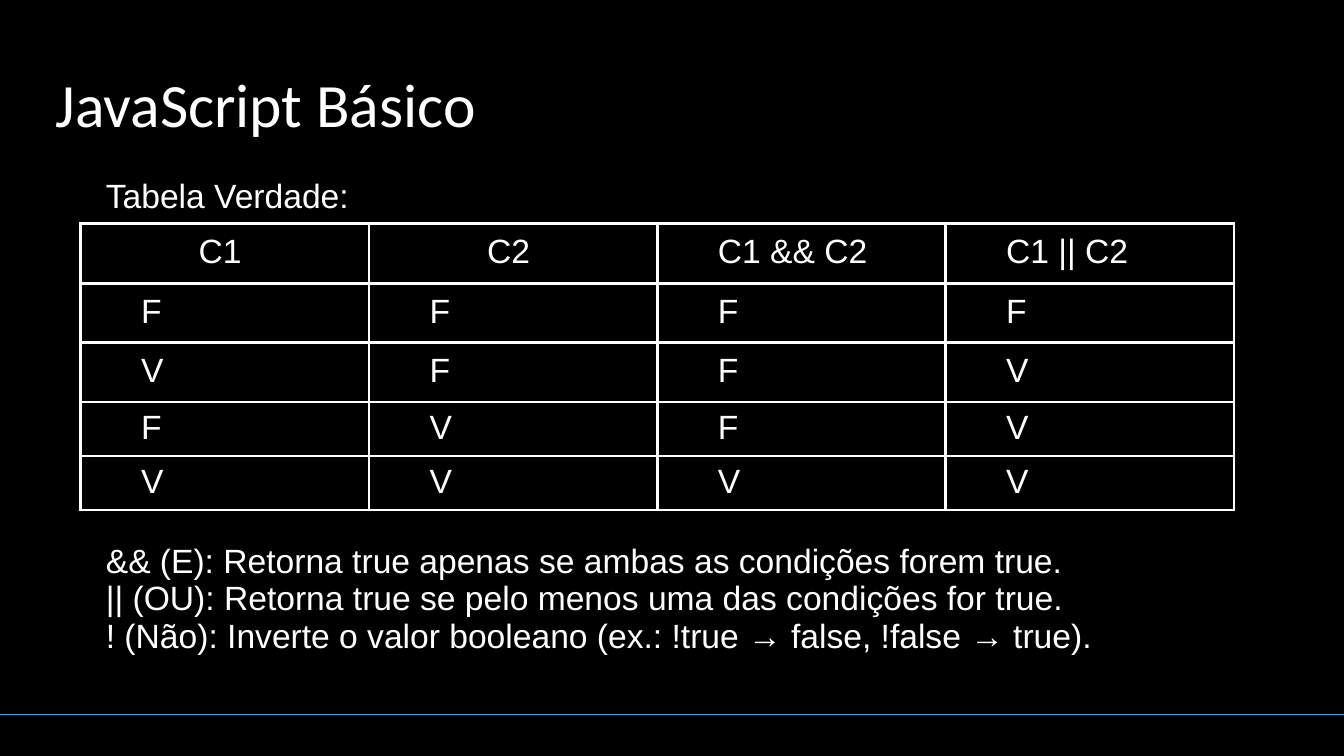
from dataclasses import dataclass

import lxml.etree
import pptx
import pptx.dml.color
import pptx.enum.shapes
import pptx.enum.text
import pptx.oxml.ns
import pptx.util

Inches = pptx.util.Inches
Pt = pptx.util.Pt
Align = pptx.enum.text.PP_ALIGN
Anchor = pptx.enum.text.MSO_ANCHOR
qn = pptx.oxml.ns.qn

BLACK = pptx.dml.color.RGBColor(0x00, 0x00, 0x00)
WHITE = pptx.dml.color.RGBColor(0xFF, 0xFF, 0xFF)
BLUE = pptx.dml.color.RGBColor(0x5B, 0x9B, 0xD5)

SLIDE_WIDTH, SLIDE_HEIGHT = 13.33, 7.5
INSET = Inches(0.1)
INDENT = 0.5
COLUMN_WIDTH = 2.86
ROW_HEIGHTS = [0.59, 0.59, 0.59, 0.46, 0.46]
TRUTH_TABLE = [
    ["C1 ", "C2 ", "C1 && C2", "C1 || C2"],
    ["F", "F", "F", "F"],
    ["V", "F", "F", "V"],
    ["F", "V", "F", "V"],
    ["V", "V", "V", "V"],
]


@dataclass
class BodyLine:
    text: str
    before: float = 1


# The second line leaves room for the table above it.
BODY_LINES = [
    BodyLine("Tabela Verdade:"),
    BodyLine("&& (E): Retorna true apenas se ambas as condições forem true.", 234.5),
    BodyLine("|| (OU): Retorna true se pelo menos uma das condições for true."),
    BodyLine("! (Não): Inverte o valor booleano (ex.: !true → false, !false → true)."),
]


def write_text(para, text: str, *, size: float = 24, font: str = "Arial",
               indent: float = 0, align=Align.LEFT, before: float = 0) -> None:
    para.alignment = align
    para.line_spacing = 0.9
    para.space_before = Pt(before)
    para.space_after = Pt(0)
    properties = para._p.get_or_add_pPr()
    properties.set("marL", str(Inches(indent)))
    properties.set("indent", "0")
    lxml.etree.SubElement(properties, qn("a:buNone"))
    span = para.add_run()
    span.text = text
    span.font.size = Pt(size)
    span.font.name = font
    span.font.bold = False
    span.font.color.rgb = WHITE


def place_placeholder(box, top: float, height: float, anchor) -> None:
    box.left, box.top = Inches(0.45), Inches(top)
    box.width, box.height = Inches(12.42), Inches(height)
    frame = box.text_frame
    frame.margin_left = frame.margin_right = INSET
    frame.margin_top = frame.margin_bottom = INSET
    frame.word_wrap = True
    frame.auto_size = pptx.enum.text.MSO_AUTO_SIZE.NONE
    frame.vertical_anchor = anchor


def add_borders(cell) -> None:
    properties = cell._tc.get_or_add_tcPr()
    for side in ("lnL", "lnR", "lnT", "lnB"):
        line = lxml.etree.SubElement(properties, qn(f"a:{side}"), w=str(Pt(2.25)))
        fill = lxml.etree.SubElement(line, qn("a:solidFill"))
        lxml.etree.SubElement(fill, qn("a:srgbClr"), val=str(WHITE))


def add_truth_table(slide) -> None:
    columns = len(TRUTH_TABLE[0])
    table = slide.shapes.add_table(
        len(TRUTH_TABLE), columns, Inches(0.8), Inches(2.22),
        Inches(COLUMN_WIDTH * columns), Inches(sum(ROW_HEIGHTS))).table
    table.first_row = table.horz_banding = False
    for column in table.columns:
        column.width = Inches(COLUMN_WIDTH)
    for row, height in zip(table.rows, ROW_HEIGHTS):
        row.height = Inches(height)
    for row_index, values in enumerate(TRUTH_TABLE):
        for column_index, value in enumerate(values):
            cell = table.cell(row_index, column_index)
            cell.margin_left = cell.margin_right = INSET
            cell.margin_top = cell.margin_bottom = INSET
            cell.vertical_anchor = Anchor.MIDDLE
            add_borders(cell)
            cell.fill.background()
            centred = row_index == 0 and column_index < 2
            write_text(cell.text_frame.paragraphs[0], value,
                       indent=0 if centred else INDENT,
                       align=Align.CENTER if centred else Align.LEFT)


def add_footer_line(slide) -> None:
    line = slide.shapes.add_connector(
        pptx.enum.shapes.MSO_CONNECTOR.STRAIGHT,
        Inches(0), Inches(7.09), Inches(SLIDE_WIDTH), Inches(7.09))
    line.line.color.rgb = BLUE
    line.line.width = Pt(0.75)
    lxml.etree.SubElement(line._element.spPr, qn("a:effectLst"))


def main() -> None:
    deck = pptx.Presentation()
    deck.slide_width = Inches(SLIDE_WIDTH)
    deck.slide_height = Inches(SLIDE_HEIGHT)
    slide = deck.slides.add_slide(deck.slide_layouts[1])
    slide.background.fill.solid()
    slide.background.fill.fore_color.rgb = BLACK

    title, body = slide.placeholders
    place_placeholder(title, 0.65, 0.83, Anchor.MIDDLE)
    write_text(title.text_frame.paragraphs[0], "JavaScript Básico",
               size=44, font="Calibri")

    place_placeholder(body, 1.68, 4.98, Anchor.TOP)
    for index, line in enumerate(BODY_LINES):
        frame = body.text_frame
        para = frame.add_paragraph() if index else frame.paragraphs[0]
        write_text(para, line.text, indent=INDENT, before=line.before)

    add_truth_table(slide)
    add_footer_line(slide)
    deck.save("out.pptx")


if __name__ == "__main__":
    main()
